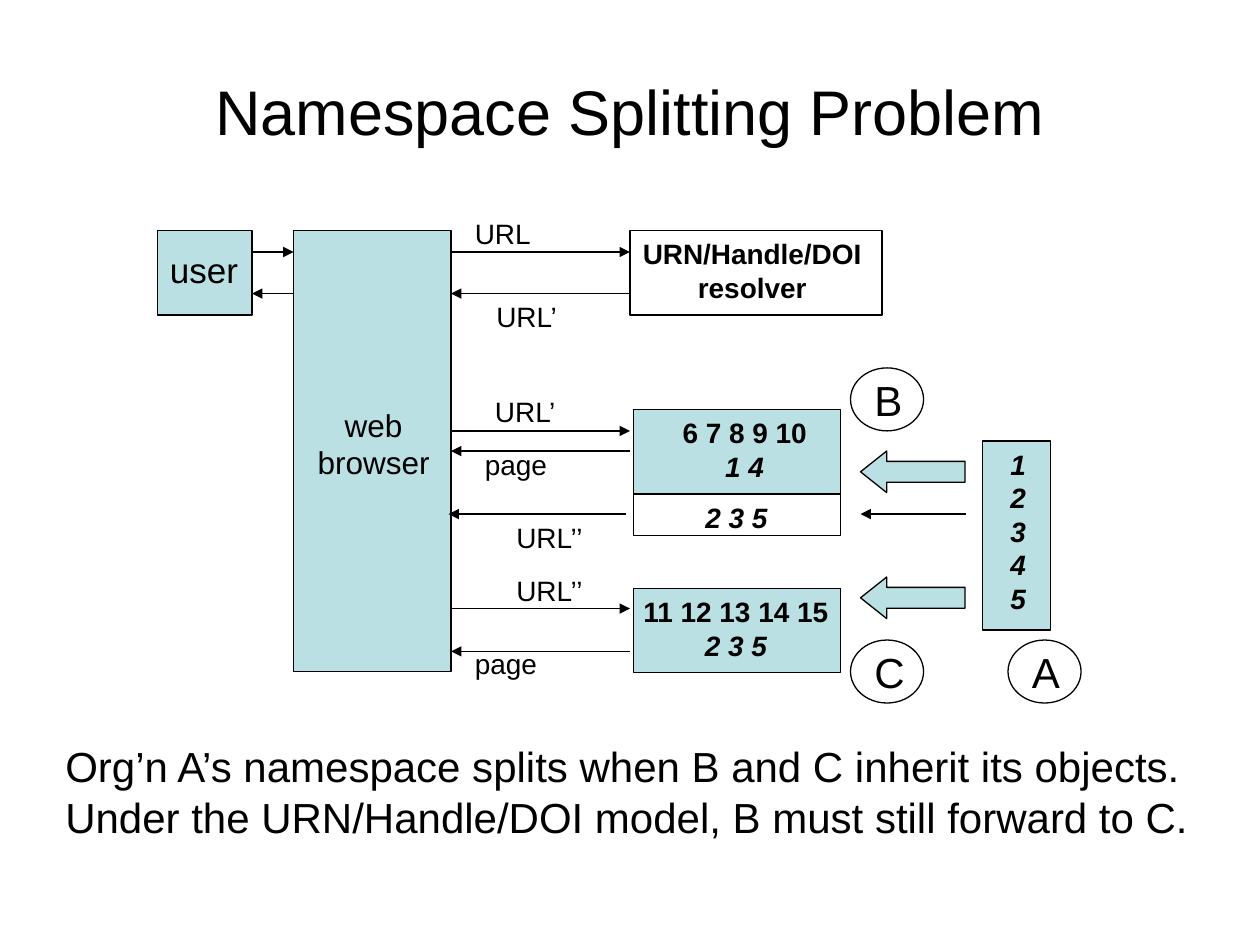
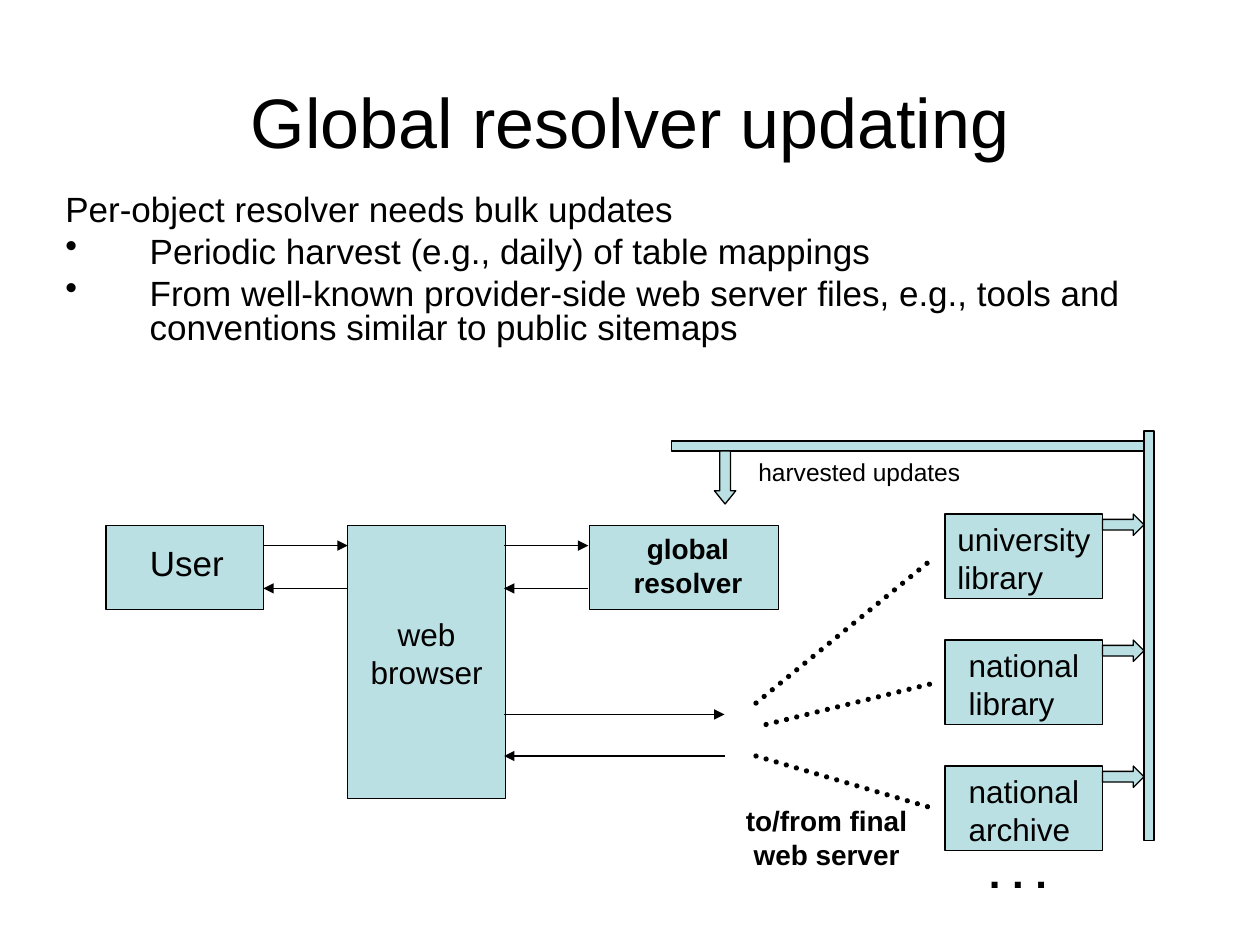
from dataclasses import dataclass
from typing import NamedTuple, Optional

from lxml import etree
from pptx import Presentation
from pptx.dml.color import RGBColor
from pptx.enum.dml import MSO_LINE
from pptx.enum.shapes import MSO_CONNECTOR, MSO_SHAPE
from pptx.enum.text import MSO_ANCHOR, MSO_AUTO_SIZE, PP_ALIGN
from pptx.oxml.ns import qn
from pptx.util import Inches, Pt

RECT, OVAL = MSO_SHAPE.RECTANGLE, MSO_SHAPE.OVAL
LEFT_ARROW, RIGHT_ARROW = MSO_SHAPE.LEFT_ARROW, MSO_SHAPE.RIGHT_ARROW
DOWN_ARROW = MSO_SHAPE.DOWN_ARROW
STRAIGHT = MSO_CONNECTOR.STRAIGHT
DOTTED = MSO_LINE.ROUND_DOT
MIDDLE = MSO_ANCHOR.MIDDLE
FIT, NO_FIT = MSO_AUTO_SIZE.SHAPE_TO_FIT_TEXT, MSO_AUTO_SIZE.NONE
LEFT, CENTER = PP_ALIGN.LEFT, PP_ALIGN.CENTER
TITLE_ONLY = 5
RIGHT_SIDE = 3


@dataclass(frozen=True)
class Theme:
    font: str = "Arial"
    ink: RGBColor = RGBColor(0, 0, 0)
    teal: RGBColor = RGBColor(0xBB, 0xE0, 0xE3)
    line: float = 0.75
    dots: float = 3
    note: int = 14
    small: int = 16
    label: int = 18
    body: int = 20
    large: int = 24
    title: int = 36
    big_title: int = 40


THEME = Theme()


class Box(NamedTuple):
    x: float
    y: float
    w: float
    h: float
    kind: int = RECT
    filled: bool = True
    adj: tuple = ()


class Label(NamedTuple):
    x: float
    y: float
    w: float
    h: float
    lines: tuple
    size: int = THEME.small
    align: int = LEFT
    bold: bool = False
    italic: tuple = ()
    wrap: bool = False


class Line(NamedTuple):
    x1: float
    y1: float
    x2: float
    y2: float
    width: float = THEME.line
    arrow: bool = True


def inches(*values: float) -> list:
    return [Inches(v) for v in values]


def apply(target, values: dict) -> None:
    for name, value in values.items():
        setattr(target, name, value)


def add_paragraph(tf, i: int):
    return tf.add_paragraph() if i else tf.paragraphs[0]


def add_run(p, text: str, size: int, bold: bool = False, italic: bool = False) -> None:
    r = p.add_run()
    r.text = text
    apply(r.font, {"name": THEME.font, "size": Pt(size), "bold": bold, "italic": italic})
    r.font.color.rgb = THEME.ink


def add_titled_slide(prs, title: str, top: float, size: int):
    s = prs.slides.add_slide(prs.slide_layouts[TITLE_ONLY])
    sp = s.shapes.title
    places = inches(0.75, top, 8.5, 1.25)
    apply(sp, dict(zip(("left", "top", "width", "height"), places)))
    tf = sp.text_frame
    apply(tf, {"vertical_anchor": MIDDLE, "auto_size": NO_FIT, "word_wrap": True})
    p = tf.paragraphs[0]
    p.alignment = CENTER
    add_run(p, title, size)
    return s


def add_box(s, box: Box):
    sp = s.shapes.add_shape(box.kind, *inches(box.x, box.y, box.w, box.h))
    sp.shadow.inherit = False
    if box.filled:
        sp.fill.solid()
        sp.fill.fore_color.rgb = THEME.teal
    else:
        sp.fill.background()
    sp.line.color.rgb = THEME.ink
    sp.line.width = Pt(THEME.line)
    for i, value in enumerate(box.adj):
        sp.adjustments[i] = value
    return sp


def add_label(s, label: Label) -> None:
    sp = s.shapes.add_textbox(*inches(label.x, label.y, label.w, label.h))
    tf = sp.text_frame
    apply(tf, {"word_wrap": label.wrap, "auto_size": FIT})
    for i, text in enumerate(label.lines):
        p = add_paragraph(tf, i)
        p.alignment = label.align
        add_run(p, text, label.size, label.bold, i in label.italic)


def add_line(s, line: Line, target: Optional[object] = None) -> None:
    cx = s.shapes.add_connector(STRAIGHT, *inches(line.x1, line.y1, line.x2, line.y2))
    cx.line.color.rgb = THEME.ink
    cx.line.width = Pt(line.width)
    ln = cx.line._get_or_add_ln()
    if line.arrow:
        etree.SubElement(ln, qn("a:tailEnd"), type="triangle")
    else:
        cx.line.dash_style = DOTTED
        ln.set("cap", "rnd")
    etree.SubElement(cx._element.spPr, qn("a:effectLst"))
    if target is not None:
        cx.end_connect(target, RIGHT_SIDE)


def add_bullets(s, heading: str, bullets: tuple) -> None:
    sp = s.shapes.add_textbox(*inches(0.42, 1.5, 9, 1.42))
    tf = sp.text_frame
    tf.word_wrap = True
    for i, text in enumerate((heading, *bullets)):
        p = add_paragraph(tf, i)
        if i:
            pPr = p._p.get_or_add_pPr()
            pPr.set("marL", str(Inches(0.67)))
            pPr.set("indent", str(-Inches(0.67)))
            etree.SubElement(pPr, qn("a:buChar"), char="•")
            p.space_before = Pt(5)
        p.line_spacing = 0.8
        add_run(p, text, THEME.body)


def draw(s, boxes: list, lines: list, labels: list) -> None:
    for box in boxes:
        add_box(s, box)
    for line in lines:
        add_line(s, line)
    for label in labels:
        add_label(s, label)


def build_splitting(prs) -> None:
    s = add_titled_slide(prs, "Namespace Splitting Problem", 0.25, THEME.title)
    browser = add_box(s, Box(2.33, 1.83, 1.25, 3.5))
    organisations = (("A", 8, 5.08), ("B", 6.75, 2.92), ("C", 6.75, 5.08))
    boxes = [
        Box(1.25, 1.83, 0.75, 0.67),
        Box(5, 1.83, 2, 0.67, filled=False),
        Box(5.03, 3.25, 1.64, 0.67),
        Box(5.03, 3.92, 1.64, 0.33, filled=False),
        Box(5.03, 4.67, 1.64, 0.67),
        Box(7.8, 3.5, 0.54, 1.5),
        *[Box(6.83, y, 0.83, 0.33, LEFT_ARROW, adj=(0.5, 0.63)) for y in (3.58, 4.58)],
        *[Box(x, y, 0.58, 0.5, OVAL, filled=False) for _, x, y in organisations],
    ]
    lines = [
        Line(2, 2, 2.33, 2),
        Line(2.33, 2.33, 2, 2.33),
        *[Line(3.58, y, 5, y) for y in (2, 3.42, 4.83)],
        *[Line(5, y, 3.58, y) for y in (2.33, 5.17)],
        Line(4.97, 4.08, 3.56, 4.08),
        Line(7.67, 4.08, 6.83, 4.08, width=1),
    ]
    captions = (
        ("URL", 3.67, 1.67, 0.64), ("URL’", 3.84, 2.33, 0.69),
        ("URL’", 3.83, 3.08, 0.69), ("page", 3.75, 3.5, 0.69),
        ("URL’’", 4, 4.08, 0.74), ("URL’’", 4, 4.5, 0.74),
        ("page", 3.67, 5.08, 0.69),
    )
    labels = [
        *[Label(x, y, w, 0.37, (text,)) for text, x, y, w in captions],
        *[Label(x + 0.09, y, 0.42, 0.5, (name,), THEME.large)
          for name, x, y in organisations],
        Label(1.25, 1.92, 0.75, 0.44, ("user",), THEME.body),
        Label(2.42, 3.17, 1.09, 0.7, ("web", "browser"), THEME.label, CENTER),
        Label(4.92, 1.83, 2.1, 0.64, ("URN/Handle/DOI", "resolver"),
              align=CENTER, bold=True, wrap=True),
        Label(5.15, 3.25, 1.52, 0.64, ("6 7 8 9 10", "1 4"),
              align=CENTER, bold=True, italic=(1,)),
        Label(5.5, 3.92, 0.69, 0.37, ("2 3 5",), align=CENTER, bold=True, italic=(0,)),
        Label(5, 4.67, 1.68, 0.64, ("11 12 13 14 15", "2 3 5"),
              align=CENTER, bold=True, italic=(1,)),
        Label(7.92, 3.5, 0.32, 1.44, tuple("12345"),
              align=CENTER, bold=True, italic=tuple(range(5))),
        Label(0.42, 5.83, 9.17, 0.9, (
            "Org’n A’s namespace splits when B and C inherit its objects.",
            "Under the URN/Handle/DOI model, B must still forward to C.",
        ), THEME.large, wrap=True),
    ]
    draw(s, boxes, lines, labels)
    add_line(s, Line(5, 3.58, 3.58, 3.58), browser)


def build_updating(prs) -> None:
    s = add_titled_slide(prs, "Global resolver updating", 0.33, THEME.big_title)
    add_bullets(s, "Per-object resolver needs bulk updates", (
        "Periodic harvest (e.g., daily) of table mappings",
        "From well-known provider-side web server files, e.g., tools and "
        "conventions similar to public sitemaps",
    ))
    providers = (
        (("university", "library"), 7.5),
        (("national", "library"), 7.59),
        (("national", "archive"), 7.59),
    )
    rows = [4.08 + i for i in range(len(providers))]
    boxes = [
        Box(0.84, 4.17, 1.25, 0.67),
        Box(2.76, 4.17, 1.25, 2.17),
        Box(4.68, 4.17, 1.5, 0.67),
        *[Box(7.5, y, 1.25, 0.67) for y in rows],
        *[Box(8.75, y, 0.33, 0.17, RIGHT_ARROW, adj=(0.5, 0.5)) for y in rows],
        Box(9.08, 3.42, 0.08, 3.25),
        Box(5.33, 3.5, 3.75, 0.08),
        Box(5.67, 3.58, 0.17, 0.42, DOWN_ARROW, adj=(0.5, 0.62)),
    ]
    requests = ((2.09, 2.76, 4.33, 4.67), (4, 4.67, 4.33, 4.67), (4, 5.75, 5.67, 6))
    dotted = ((6, 5.58, 4.42), (6.08, 5.75, 5.42), (6, 6, 6.42))
    lines = [
        *[Line(x1, out, x2, out) for x1, x2, out, _ in requests],
        *[Line(x2, back, x1, back) for x1, x2, _, back in requests],
        *[Line(x, y1, 7.42, y2, THEME.dots, arrow=False) for x, y1, y2 in dotted],
    ]
    labels = [
        Label(1.09, 4.25, 0.79, 0.44, ("User",), THEME.body),
        Label(2.84, 4.83, 1.09, 0.7, ("web", "browser"), THEME.label, CENTER),
        Label(4.93, 4.17, 1.06, 0.64, ("global", "resolver"), align=CENTER, bold=True),
        Label(5.82, 6.33, 1.48, 0.64, ("to/from final", "web server"),
              align=CENTER, bold=True),
        *[Label(x, y, 1.4, 0.7, names, THEME.label, wrap=True)
          for y, (names, x) in zip(rows, providers)],
        Label(7.75, 6.67, 0.67, 0.5, (". . .",), THEME.large, bold=True, wrap=True),
        Label(5.92, 3.58, 1.92, 0.34, ("harvested updates",), THEME.note, wrap=True),
    ]
    draw(s, boxes, lines, labels)


def main() -> None:
    prs = Presentation()
    prs.slide_width, prs.slide_height = inches(10, 7.5)
    build_splitting(prs)
    build_updating(prs)
    prs.save("out.pptx")


if __name__ == "__main__":
    main()
